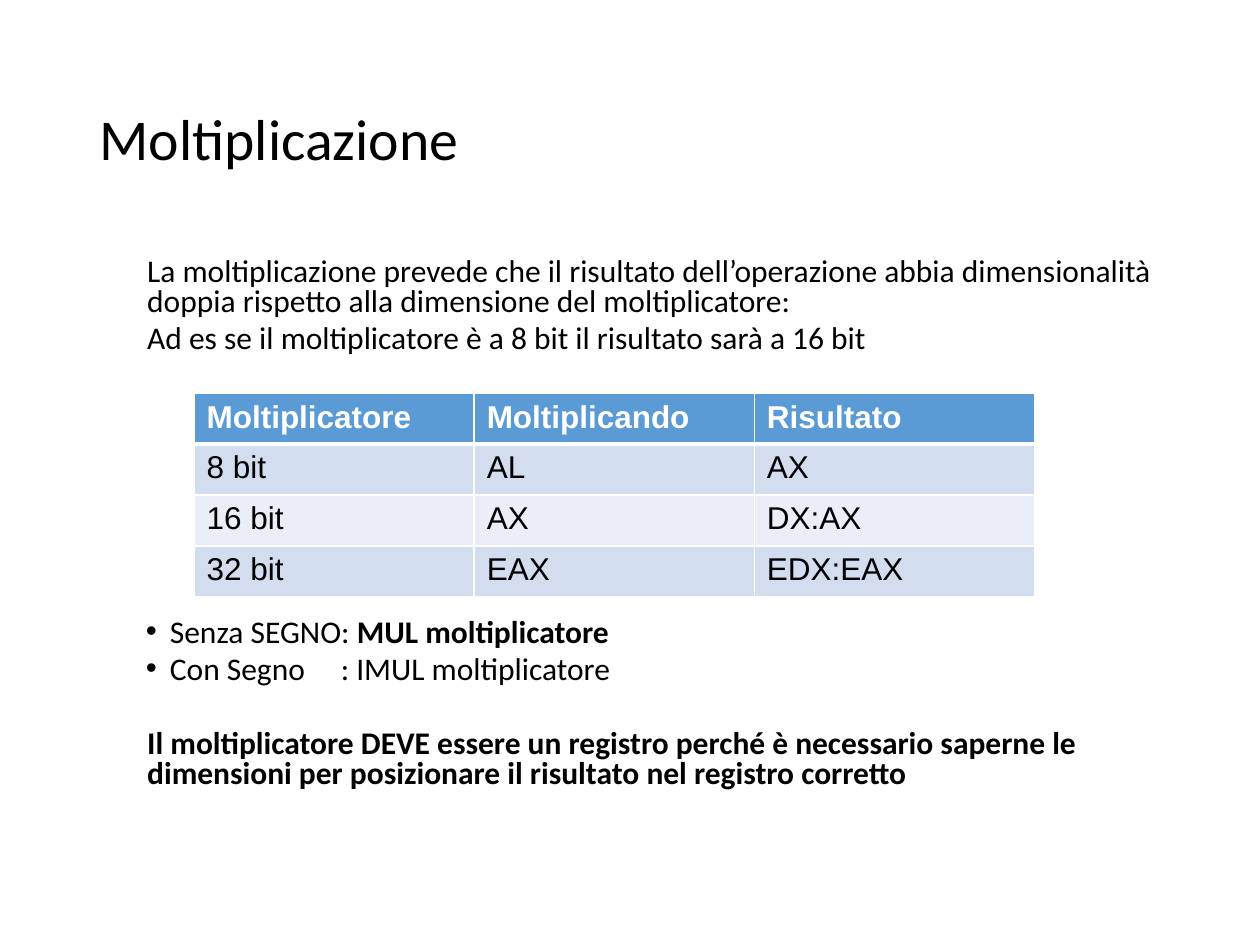
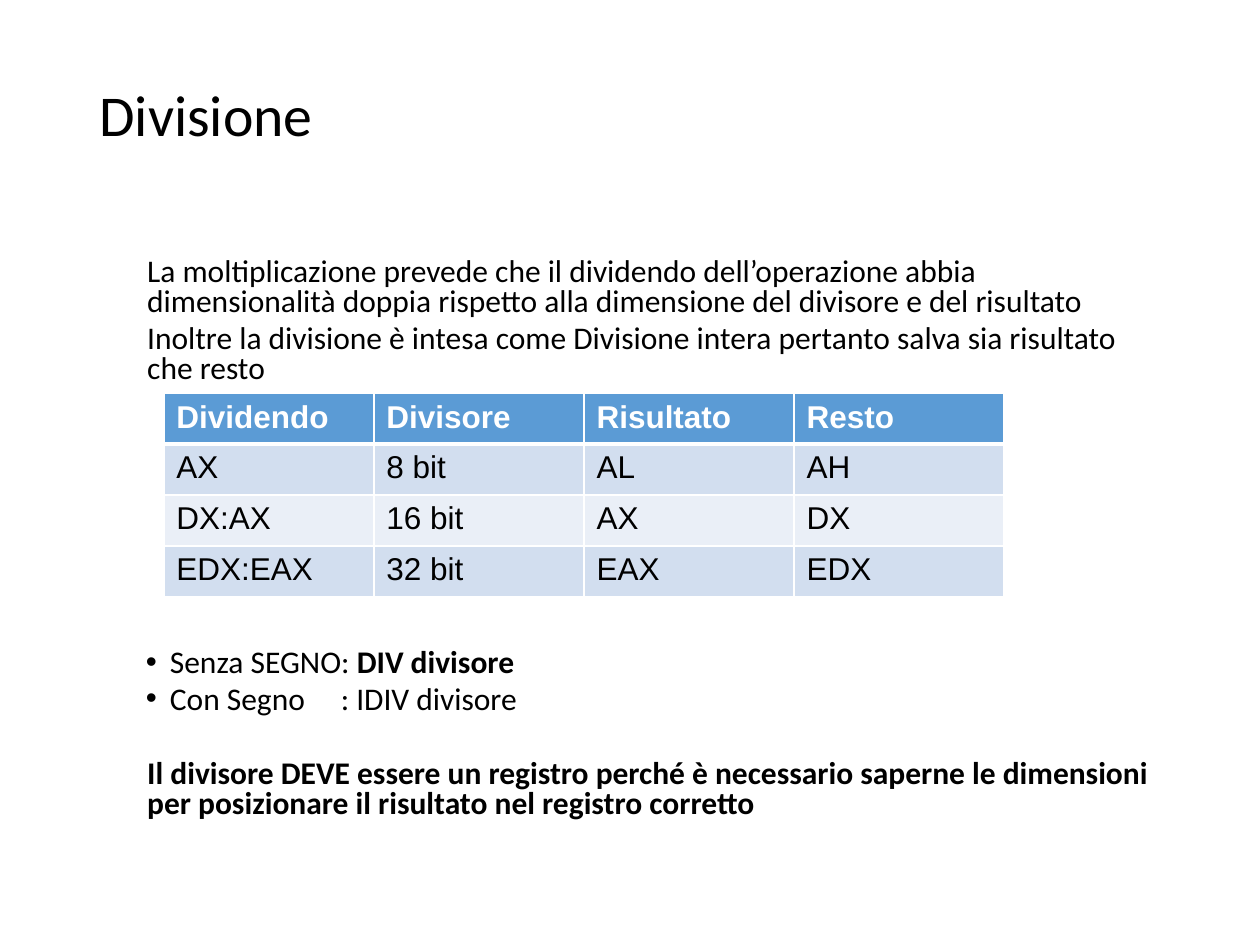
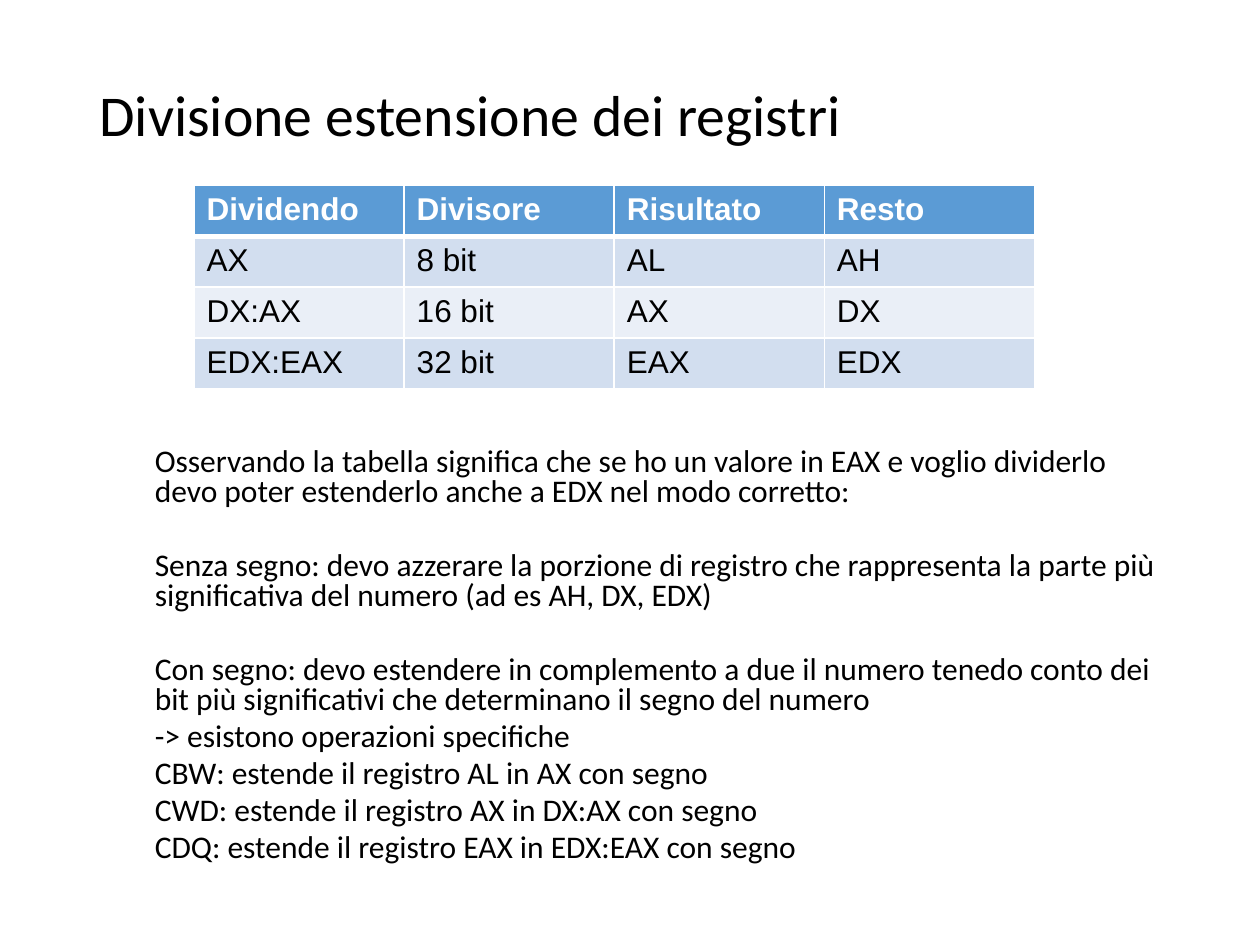
from lxml import etree
from pptx import Presentation
from pptx.dml.color import RGBColor
from pptx.enum.text import MSO_ANCHOR
from pptx.oxml.ns import qn
from pptx.util import Inches, Pt

MIDDLE = MSO_ANCHOR.MIDDLE
TOP = MSO_ANCHOR.TOP

SLIDE_WIDTH, SLIDE_HEIGHT = Inches(10), Inches(7.5)
COLUMN, ROW = SLIDE_WIDTH / 100, SLIDE_HEIGHT / 75

BLACK, WHITE, HEADER_BLUE = "000000", "FFFFFF", "5B9BD5"
BANDS = ("D2DEEF", "EAEFF7")

TITLE_FONT = {"name": "Calibri", "size": Pt(33)}
BODY_FONT = {"name": "Calibri", "size": Pt(18)}
BOLD_FONT = {**BODY_FONT, "bold": True}
CELL_FONT = {"name": "Arial", "size": Pt(18), "bold": False}
HEADER_FONT = {**CELL_FONT, "bold": True}

TEXT_WIDTH, TITLE_HEIGHT, BODY_HEIGHT = 86.2, 14.5, 47.6
TABLE_WIDTH, TABLE_ROW_HEIGHT = 66.7, 4.05
SPACE_BEFORE, LINE_STEP = 3.8, 21
INDENT, BULLET_INDENT, BULLET_HANGING = 0.38, 0.56, -0.19
COLON_GAP = 16.3

DIVISION_ROWS = (
    ("Dividendo", "Divisore", "Risultato", "Resto"),
    ("AX", "8 bit", "AL", "AH"),
    ("DX:AX", "16 bit", "AX", "DX"),
    ("EDX:EAX", "32 bit", "EAX", "EDX"),
)
MULTIPLICATION_ROWS = (
    ("Moltiplicatore", "Moltiplicando", "Risultato"),
    ("8 bit", "AL", "AX"),
    ("16 bit", "AX", "DX:AX"),
    ("32 bit", "EAX", "EDX:EAX"),
)


def color(value):
    """Turn a hex string into a colour."""
    return RGBColor.from_string(value)


def grid(left, top, width, height):
    """Turn grid columns and rows into slide lengths."""
    return [int(length) for length in (left * COLUMN, top * ROW, width * COLUMN, height * ROW)]


def apply_format(target, values):
    """Set attributes of an object from a dict."""
    for name, value in values.items():
        setattr(target, name, value)


def add_run(paragraph, text, font, font_color=BLACK):
    """Append formatted text to a paragraph."""
    run = paragraph.add_run()
    run.text = text
    apply_format(run.font, font)
    run.font.color.rgb = color(font_color)
    return run


def add_text_frame(slide, place, **values):
    """Add a wrapping text box and return its frame."""
    frame = slide.shapes.add_textbox(*grid(*place)).text_frame
    apply_format(frame, {"word_wrap": True, **values})
    return frame


def add_title(slide, text, top):
    """Add the slide title."""
    frame = add_text_frame(slide, (6.9, top, TEXT_WIDTH, TITLE_HEIGHT), vertical_anchor=MIDDLE)
    paragraph = frame.paragraphs[0]
    paragraph.line_spacing = 0.9
    add_run(paragraph, text, TITLE_FONT)


def set_indent(paragraph, bullet):
    """Indent a body paragraph and give it a bullet if asked."""
    properties = paragraph._p.get_or_add_pPr()
    properties.set("marL", str(Inches(BULLET_INDENT if bullet else INDENT)))
    properties.set("indent", str(Inches(BULLET_HANGING if bullet else 0)))
    if bullet:
        etree.SubElement(properties, qn("a:buFont"), typeface="Arial")
        etree.SubElement(properties, qn("a:buChar"), char="•")


def add_line(frame, text="", skip=0, bullet=False, font=BODY_FONT):
    """Add a body paragraph after a gap of skipped lines."""
    paragraph = frame.paragraphs[0]
    if paragraph.runs:
        paragraph = frame.add_paragraph()
    apply_format(paragraph, {
        "level": 1,
        "line_spacing": 0.8,
        "space_before": Pt(SPACE_BEFORE + skip * LINE_STEP),
    })
    set_indent(paragraph, bullet)
    if text:
        add_run(paragraph, text, font)
    return paragraph


def add_instructions(frame, unsigned, signed, skip):
    """Add the bullets for the unsigned and signed instruction."""
    paragraph = add_line(frame, "Senza SEGNO: ", skip, bullet=True)
    add_run(paragraph, unsigned, BOLD_FONT)
    paragraph = add_line(frame, "Con Segno", bullet=True)
    gap = add_run(paragraph, " ", BODY_FONT)
    gap._r.get_or_add_rPr().set("spc", str(int(COLON_GAP * 100)))
    add_run(paragraph, f": {signed}", BODY_FONT)


def set_borders(cell, widths):
    """Draw white borders with a width per side."""
    properties = cell._tc.get_or_add_tcPr()
    for position, (side, width) in enumerate(widths.items()):
        line = etree.Element(qn(f"a:ln{side}"), w=str(Pt(width)))
        fill = etree.SubElement(line, qn("a:solidFill"))
        etree.SubElement(fill, qn("a:srgbClr"), val=WHITE)
        properties.insert(position, line)


def add_register_table(slide, rows, left, top):
    """Add a table with a blue header and banded rows."""
    place = grid(left, top, TABLE_WIDTH, TABLE_ROW_HEIGHT * len(rows))
    table = slide.shapes.add_table(len(rows), len(rows[0]), *place).table
    for row_index, texts in enumerate(rows):
        header = row_index == 0
        for column_index, text in enumerate(texts):
            cell = table.cell(row_index, column_index)
            cell.fill.solid()
            cell.fill.fore_color.rgb = color(HEADER_BLUE if header else BANDS[(row_index - 1) % 2])
            add_run(cell.text_frame.paragraphs[0], text,
                    HEADER_FONT if header else CELL_FONT, WHITE if header else BLACK)
            set_borders(cell, {"L": 1, "R": 1, "T": 3 if row_index == 1 else 1, "B": 3 if header else 1})


def add_operation_slide(slide, title, title_top, intro, instructions, skip, note, rows, table_left):
    """Build a slide on an arithmetic operation."""
    add_title(slide, title, title_top)
    frame = add_text_frame(slide, (6.9, 20, TEXT_WIDTH, BODY_HEIGHT), vertical_anchor=TOP)
    for text in intro:
        add_line(frame, text)
    add_instructions(frame, *instructions, skip)
    add_line(frame, note, skip=1, font=BOLD_FONT)
    add_register_table(slide, rows, table_left, 31.2)


def add_extension_slide(slide):
    """Build the slide on extending registers."""
    add_title(slide, "Divisione estensione dei registri", 2.1)
    frame = add_text_frame(slide, (7.5, 22.8, TEXT_WIDTH, BODY_HEIGHT),
                           vertical_anchor=TOP, margin_top=Inches(1.28))
    for text, skip in (
        ("Osservando la tabella significa che se ho un valore in EAX e voglio dividerlo "
         "devo poter estenderlo anche a EDX nel modo corretto:", 0),
        ("Senza segno: devo azzerare la porzione di registro che rappresenta la parte più "
         "significativa del numero (ad es AH, DX, EDX)", 1),
        ("Con segno: devo estendere in complemento a due il numero tenedo conto dei "
         "bit più significativi che determinano il segno del numero", 1),
        ("-> esistono operazioni specifiche", 0),
        ("CBW: estende il registro AL in AX con segno", 0),
        ("CWD: estende il registro AX in DX:AX con segno", 0),
        ("CDQ: estende il registro EAX in EDX:EAX con segno", 0),
    ):
        add_line(frame, text, skip)
    add_register_table(slide, DIVISION_ROWS, 15.4, 14.7)


def main():
    """Build and save the presentation."""
    presentation = Presentation()
    apply_format(presentation, {"slide_width": SLIDE_WIDTH, "slide_height": SLIDE_HEIGHT})
    blank = presentation.slide_layouts[6]
    note = ("Il {} DEVE essere un registro perché è necessario saperne le dimensioni "
            "per posizionare il risultato nel registro corretto")
    add_operation_slide(
        presentation.slides.add_slide(blank), "Moltiplicazione", 4,
        ("La moltiplicazione prevede che il risultato dell’operazione abbia dimensionalità "
         "doppia rispetto alla dimensione del moltiplicatore:",
         "Ad es se il moltiplicatore è a 8 bit il risultato sarà a 16 bit"),
        ("MUL moltiplicatore", "IMUL moltiplicatore"), 7,
        note.format("moltiplicatore"), MULTIPLICATION_ROWS, 15.4)
    add_operation_slide(
        presentation.slides.add_slide(blank), "Divisione", 2.1,
        ("La moltiplicazione prevede che il dividendo dell’operazione abbia "
         "dimensionalità doppia rispetto alla dimensione del divisore e del risultato",
         "Inoltre la divisione è intesa come Divisione intera pertanto salva sia risultato che resto"),
        ("DIV divisore", "IDIV divisore"), 7,
        note.format("divisore"), DIVISION_ROWS, 13)
    add_extension_slide(presentation.slides.add_slide(blank))
    presentation.save("out.pptx")


if __name__ == "__main__":
    main()
